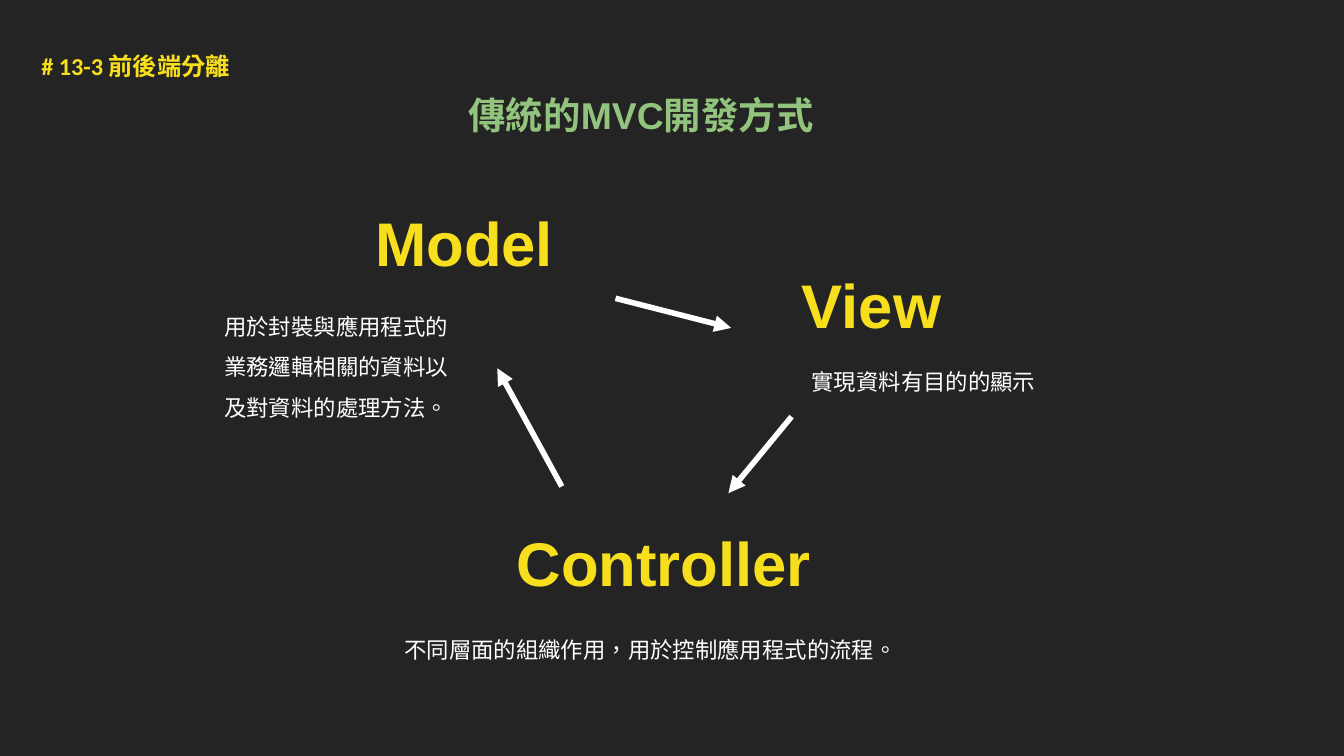
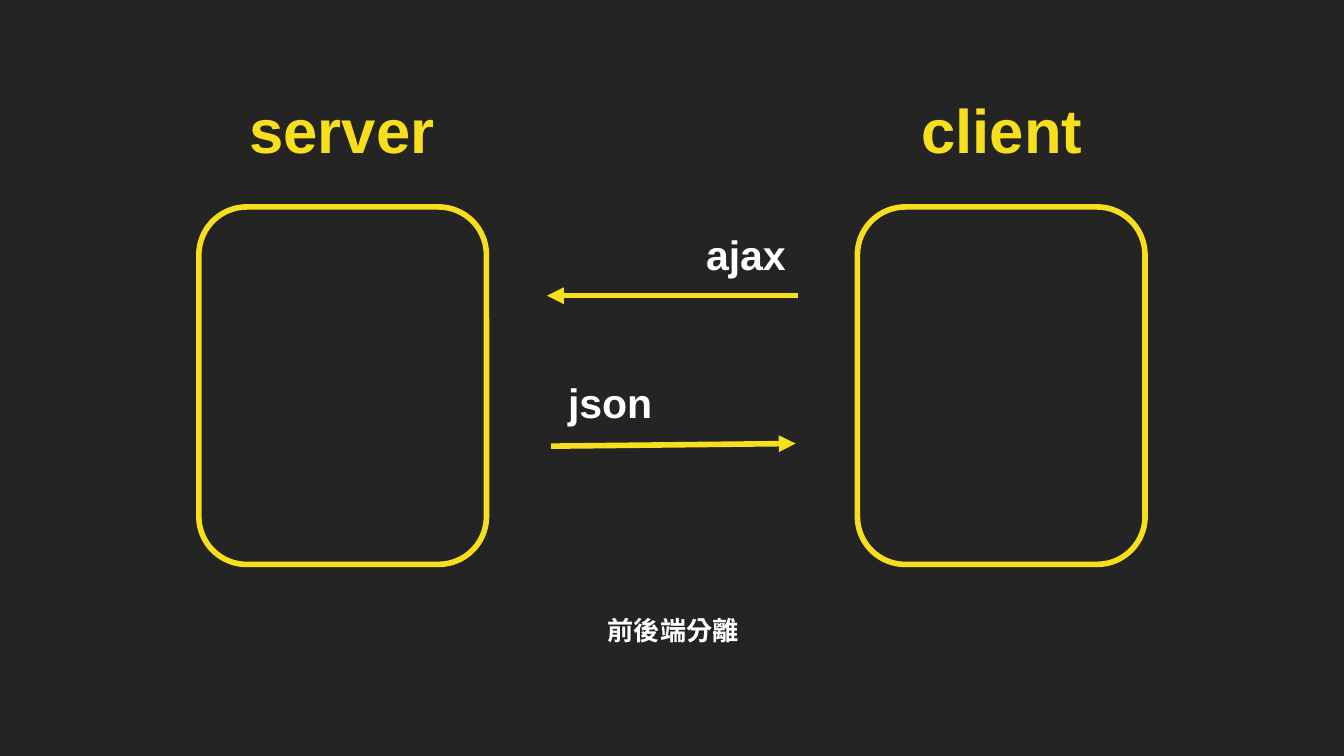
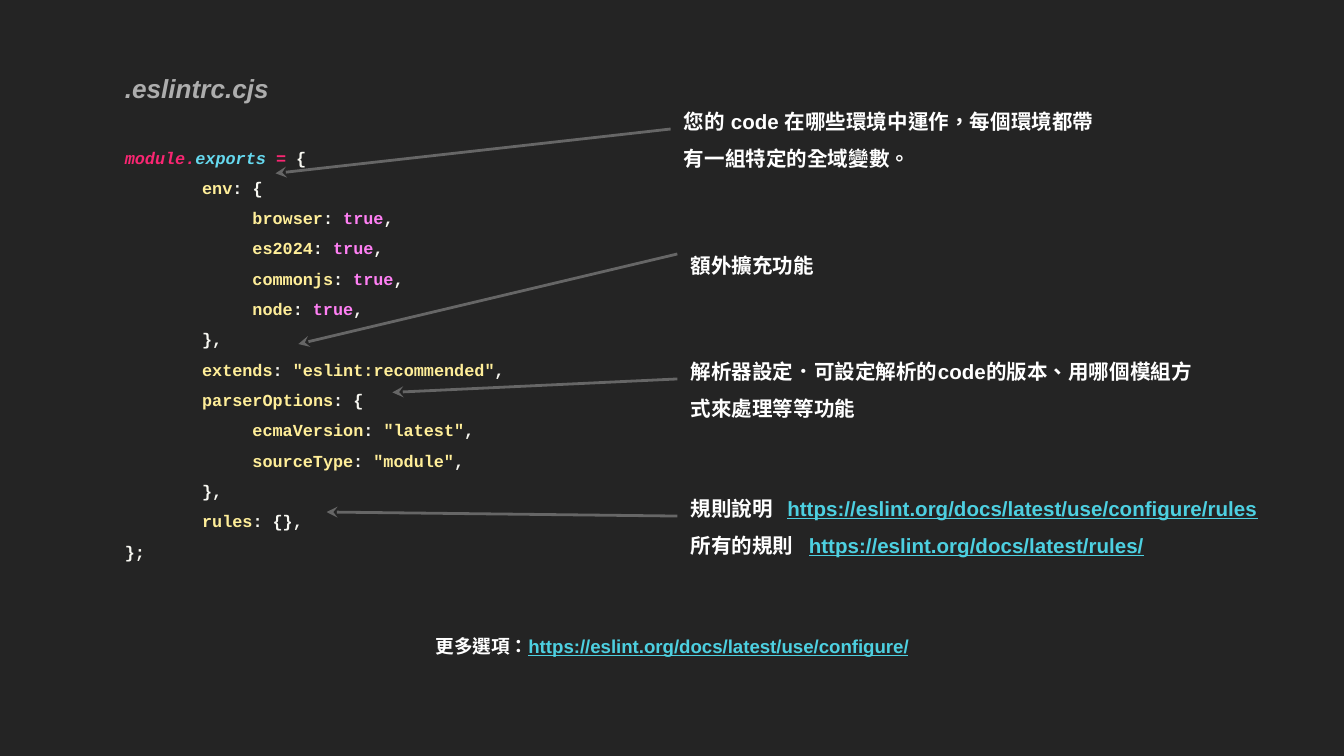
import pptx
import pptx.dml.color
import pptx.enum.shapes
import pptx.enum.text
import pptx.oxml.ns
import pptx.util
from lxml import etree

PX = 9144  # 100 px to the inch
COLORS = {
    "back": "242424", "yellow": "F7DF1E", "white": "FFFFFF", "green": "93C47D",
    "gray": "ADADAD", "arrow": "666666", "link": "4DD0E1",
    "plain": "F8F8F2", "red": "F92672", "cyan": "66D9EF", "key": "FFEE99", "pink": "FF80F4",
}
RGB = {name: pptx.dml.color.RGBColor.from_string(value) for name, value in COLORS.items()}
qn = pptx.oxml.ns.qn
ALIGN = pptx.enum.text.PP_ALIGN
ANCHOR = pptx.enum.text.MSO_ANCHOR
AUTO_SIZE = pptx.enum.text.MSO_AUTO_SIZE


def text(s, box, paragraphs, size=12, color="white", font="Arial", bold=True, italic=False,
         center=False, middle=False, spacing=None, indents=(), tabs=()):
    """Each paragraph is a string or a list of (text, format overrides) runs."""
    sp = s.shapes.add_textbox(*[v * PX for v in box])
    tf = sp.text_frame
    tf.word_wrap = True
    tf.auto_size = AUTO_SIZE.NONE if middle else AUTO_SIZE.SHAPE_TO_FIT_TEXT
    tf.margin_left = tf.margin_right = tf.margin_top = tf.margin_bottom = 10 * PX
    tf.vertical_anchor = ANCHOR.MIDDLE if middle else ANCHOR.TOP
    for i, runs in enumerate(paragraphs):
        p = tf.paragraphs[0] if i == 0 else tf.add_paragraph()
        p.alignment = ALIGN.CENTER if center else ALIGN.LEFT
        if spacing:
            p.line_spacing = spacing
        pPr = p._p.get_or_add_pPr()
        if indents:
            pPr.set("marL", str(indents[i] * PX))
        if tabs:
            tab_list = etree.SubElement(pPr, qn("a:tabLst"))
            etree.SubElement(tab_list, qn("a:tab"), pos=str(tabs[i] * PX), algn="l")
        for content, changes in [(runs, {})] if isinstance(runs, str) else runs:
            r = p.add_run()
            r.text = content
            r.font.size = pptx.util.Pt(size)
            r.font.bold = bold
            r.font.italic = changes.get("italic", italic)
            r.font.underline = changes.get("underline", False)
            r.font.color.rgb = RGB[changes.get("color", color)]
            r.font.name = font
            rPr = r._r.get_or_add_rPr()
            rPr.set("lang", "zh-TW")
            etree.SubElement(rPr, qn("a:ea"), typeface=font)


def arrow(s, start, end, color, width=3, tip="tailEnd", kind="triangle"):
    line_type = pptx.enum.shapes.MSO_CONNECTOR.STRAIGHT
    sp = s.shapes.add_connector(line_type, *[v * PX for v in (*start, *end)])
    sp.line.color.rgb = RGB[color]
    sp.line.width = pptx.util.Pt(width)
    etree.SubElement(sp.line._get_or_add_ln(), qn("a:" + tip), type=kind)
    etree.SubElement(sp._element.spPr, qn("a:effectLst"))


prs = pptx.Presentation()
prs.slide_width = 1000 * PX
prs.slide_height = prs.slide_width * 9 // 16
slides = []
for _ in range(3):
    s = prs.slides.add_slide(prs.slide_layouts[6])
    s.background.fill.solid()
    s.background.fill.fore_color.rgb = RGB["back"]
    slides.append(s)
mvc, split, config = slides

heading = dict(size=33, color="yellow", center=True, middle=True)
body = dict(bold=False)

# Slide 1: the MVC cycle
text(mvc, (21, 17, 479, 42), ["# 13-3 前後端分離"], size=13, color="yellow", font="Calibri", spacing=1.5)
for label, box in [("Model", (254, 142, 183, 76)), ("View", (557, 188, 183, 76)),
                   ("Controller", (368, 380, 252, 76))]:
    text(mvc, box, [label], **heading)
for start, end in [((458, 222), (544, 244)), ((589, 310), (542, 367)), ((418, 362), (370, 274))]:
    arrow(mvc, start, end, "white")
text(mvc, (312, 63, 330, 44), ["傳統的MVC開發方式"], size=20, color="green", center=True, middle=True)
text(mvc, (157, 213, 192, 101), ["用於封裝與應用程式的業務邏輯相關的資料以及對資料的處理方法。"], spacing=1.5, **body)
text(mvc, (291, 453, 405, 40), ["不同層面的組織作用，用於控制應用程式的流程。"], spacing=1.5, **body)
text(mvc, (594, 264, 206, 40), ["實現資料有目的的顯示"], **body)

# Slide 2: server and client
for label, label_x, box_x in [("server", 163, 148), ("client", 654, 638)]:
    text(split, (label_x, 58, 183, 76), [label], **heading)
    sp = split.shapes.add_shape(pptx.enum.shapes.MSO_SHAPE.ROUNDED_RECTANGLE,
                                box_x * PX, 154 * PX, 214 * PX, 266 * PX)
    sp.shadow.inherit = False
    sp.fill.solid()
    sp.fill.fore_color.rgb = RGB["back"]
    sp.line.color.rgb = RGB["yellow"]
    sp.line.width = pptx.util.Pt(3)
for label, x, y, start, end in [("ajax", 511, 168, (594, 220), (407, 220)),
                                ("json", 410, 278, (410, 332), (592, 330))]:
    arrow(split, start, end, "yellow")
    text(split, (x, y, 88, 42), [label], size=22, center=True, middle=True)
text(split, (398, 447, 206, 44), ["前後端分離"], size=14, center=True, middle=True)

# Slide 3: annotated ESLint settings
text(config, (83, 44, 328, 44), [".eslintrc.cjs"], size=14, color="gray", italic=True)

code = [[("module.", dict(color="red", italic=True)), ("exports", dict(color="cyan", italic=True)),
         (" ", {}), ("=", dict(color="red")), (" {", {})]]
for depth, key, value, ending in [
        (1, "env", "", "{"),
        (6, "browser", "true", ","),
        (6, "es2024", "true", ","),
        (6, "commonjs", "true", ","),
        (6, "node", "true", ","),
        (1, "", "", "},"),
        (1, "extends", '"eslint:recommended"', ","),
        (1, "parserOptions", "", "{"),
        (6, "ecmaVersion", '"latest"', ","),
        (6, "sourceType", '"module"', ","),
        (1, "", "", "},"),
        (1, "rules", "", "{},")]:
    runs = [(" " * depth, {})]
    if key:
        runs += [(key, dict(color="key")), (": ", {})]
    if value:
        runs.append((value, dict(color="pink" if value == "true" else "key")))
    code.append(runs + [(ending, {})])
code.append("};")
text(config, (83, 92, 352, 331), code, size=9, color="plain", font="Courier New", spacing=1.5,
     indents=[0] + [50] * (len(code) - 2) + [0])

link = dict(color="link", underline=True)
rules = [[("規則說明\t", {}), ("https://eslint.org/docs/latest/use/configure/rules", link)],
         [("所有的規則\t", {}), ("https://eslint.org/docs/latest/rules/", link)]]
for box, note, tabs, tip, tail in [
        ((504, 350, 450, 67), rules, (72, 88), (243, 381), (504, 384)),
        ((499, 62, 328, 67), ["您的 code 在哪些環境中運作，每個環境都帶有一組特定的全域變數。"], (),
         (205, 129), (499, 96)),
        ((504, 169, 328, 39), ["額外擴充功能"], (), (222, 256), (504, 189)),
        ((504, 248, 399, 67), ["解析器設定．可設定解析的code的版本、用哪個模組方式來處理等等功能"], (),
         (292, 292), (504, 282))]:
    text(config, box, note, size=11, spacing=1.5, tabs=tabs)
    arrow(config, tip, tail, "arrow", width=1.5, tip="headEnd", kind="stealth")
text(config, (143, 464, 714, 37),
     [[("更多選項：", {}), ("https://eslint.org/docs/latest/use/configure/", link)]], size=10, center=True)

prs.save("out.pptx")
